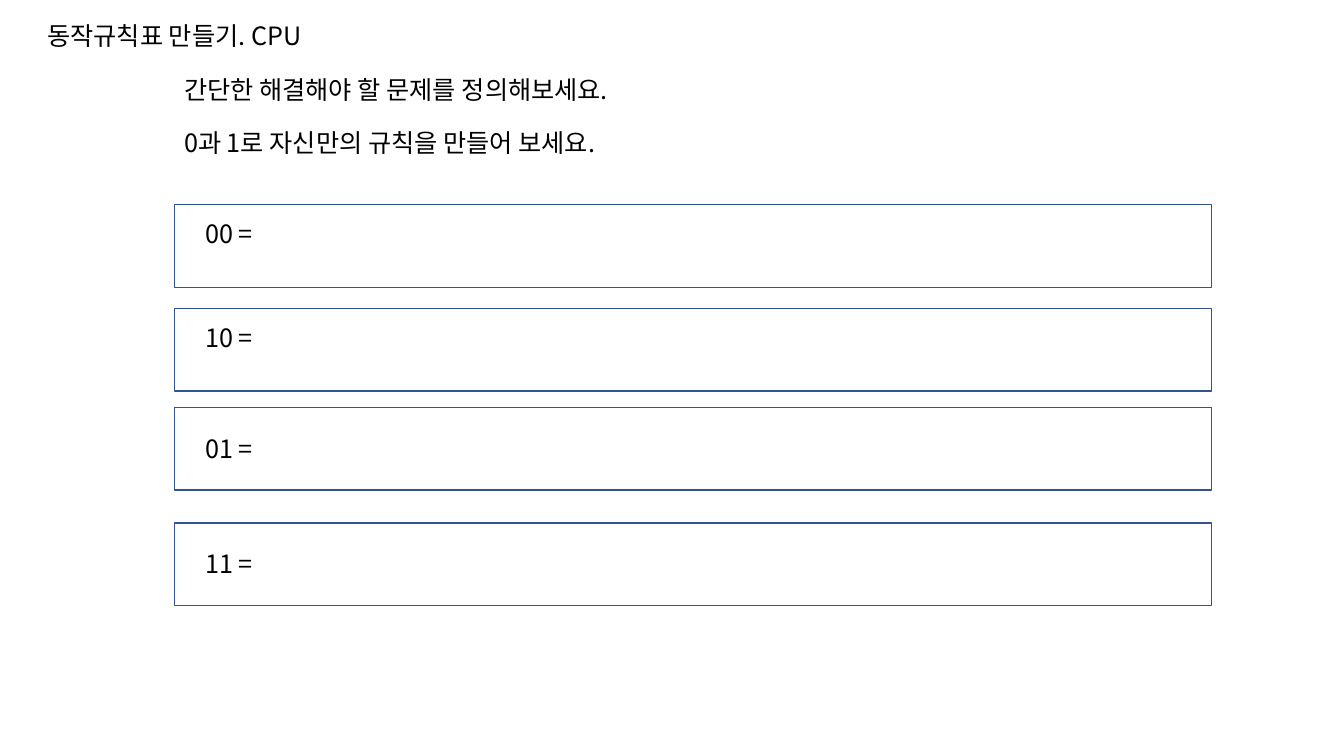
from pptx import Presentation
from pptx import util as u
from pptx.dml import color
from pptx.enum import shapes, text
from pptx.oxml import ns
from lxml import etree

BLACK = color.RGBColor(0x00, 0x00, 0x00)
BORDER = color.RGBColor(0x32, 0x54, 0x91)

RULE_LEFT = 124.5
LABEL_INSET = 15
RULES = [
    ("00 =", 146.2, 6.5),
    ("10 =", 220.3, 6.5),
    ("01 =", 291, 15),
    ("11 =", 373.7, 14.5),
]


class RuleSheet:
    font_name = "Noto Sans CJK KR"
    font_size = u.Pt(18)

    def __init__(self, deck):
        self.slide = deck.slides.add_slide(deck.slide_layouts[5])

    def set_lines(self, holder, lines, gap=0):
        frame = holder.text_frame
        frame.word_wrap = True
        frame.auto_size = text.MSO_AUTO_SIZE.NONE
        frame.vertical_anchor = text.MSO_ANCHOR.TOP
        frame.text = "\n".join(lines)
        for index, paragraph in enumerate(frame.paragraphs):
            paragraph.alignment = text.PP_ALIGN.LEFT
            paragraph.line_spacing = 1.0
            paragraph.space_before = u.Pt(gap if index else 0)
            font = paragraph.font
            font.size = self.font_size
            font.name = self.font_name
            font.color.rgb = BLACK
            defaults = paragraph._p.pPr.find(ns.qn("a:defRPr"))
            etree.SubElement(defaults, ns.qn("a:ea"), typeface=self.font_name)

    def title(self, wording, left, top, width, height):
        heading = self.slide.shapes.title
        heading.left, heading.top = u.Pt(left), u.Pt(top)
        heading.width, heading.height = u.Pt(width), u.Pt(height)
        self.set_lines(heading, [wording])

    def label(self, lines, left, top, width, height, gap=0):
        holder = self.slide.shapes.add_textbox(
            u.Pt(left), u.Pt(top), u.Pt(width), u.Pt(height))
        self.set_lines(holder, lines, gap)

    def answer_box(self, left, top, width, height):
        answer = self.slide.shapes.add_shape(
            shapes.MSO_SHAPE.RECTANGLE,
            u.Pt(left), u.Pt(top), u.Pt(width), u.Pt(height))
        answer.shadow.inherit = False
        answer.fill.background()
        answer.line.color.rgb = BORDER
        answer.line.width = u.Pt(1)


def main():
    deck = Presentation()
    deck.slide_width, deck.slide_height = u.Pt(960), u.Pt(540)
    sheet = RuleSheet(deck)
    sheet.title("동작규칙표 만들기. CPU", 26.6, 10.8, 211.7, 29)
    sheet.label(
        ["간단한 해결해야 할 문제를 정의해보세요.",
         "0과 1로 자신만의 규칙을 만들어 보세요."],
        RULE_LEFT, 49.7, 358, 72.7, gap=16)
    for code, top, drop in RULES:
        sheet.answer_box(RULE_LEFT, top, 741, 59)
        sheet.label([code], RULE_LEFT + LABEL_INSET, top + drop, 60, 29)
    deck.save("out.pptx")


if __name__ == "__main__":
    main()
